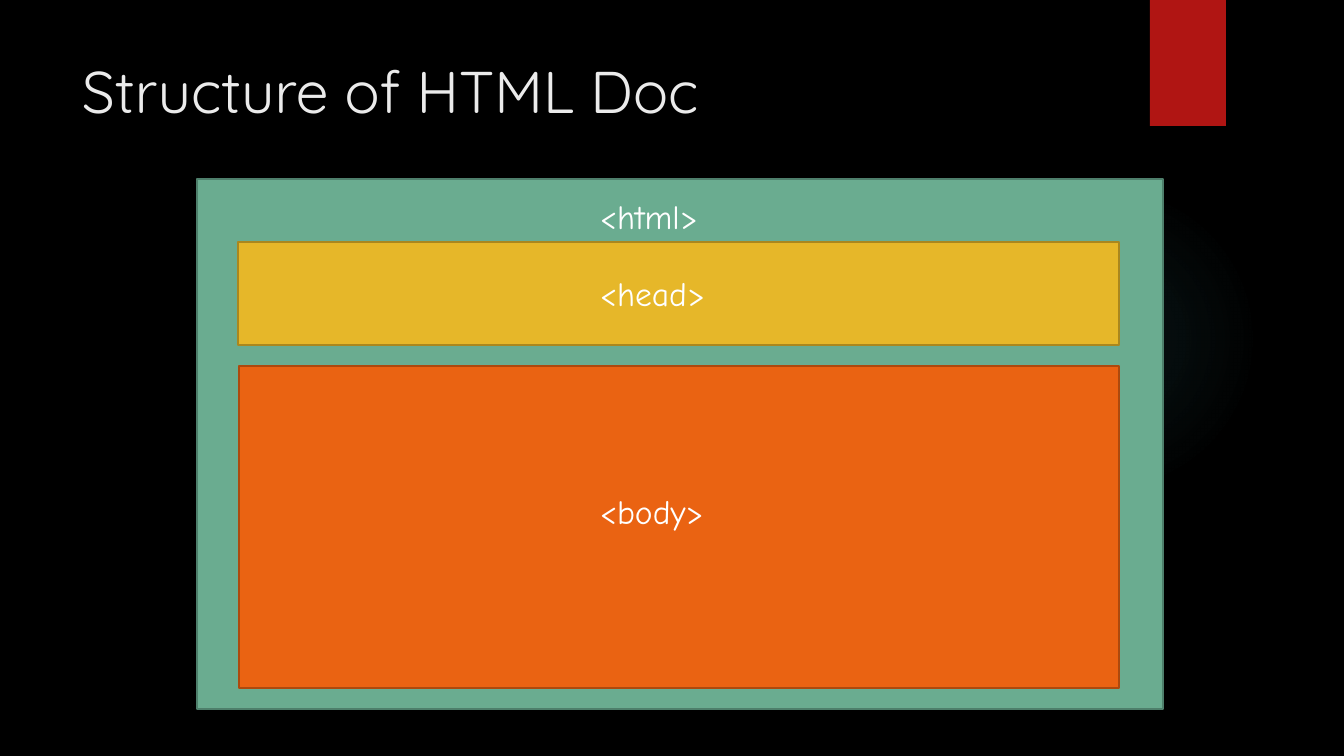
from lxml import etree
from pptx import Presentation, util as u
from pptx.dml.color import RGBColor
from pptx.enum import shapes, text
from pptx.oxml import ns

PX = 914400 / 100.8  # EMU in one px
BLACK = RGBColor(0x00, 0x00, 0x00)
WHITE = RGBColor(0xFF, 0xFF, 0xFF)
TITLE_GREY = RGBColor(0xEB, 0xEB, 0xEB)
RED = RGBColor(0xB0, 0x15, 0x13)
GREEN = RGBColor(0x6A, 0xAC, 0x90)
GREEN_EDGE = RGBColor(0x4E, 0x7F, 0x6B)
YELLOW = RGBColor(0xE6, 0xB7, 0x29)
YELLOW_EDGE = RGBColor(0xAA, 0x87, 0x1E)
ORANGE = RGBColor(0xEA, 0x63, 0x12)
ORANGE_EDGE = RGBColor(0xAD, 0x49, 0x0D)

prs = Presentation()
prs.slide_width, prs.slide_height = round(1344 * PX), round(756 * PX)
slide = prs.slides.add_slide(prs.slide_layouts[6])
slide.background.fill.solid()
slide.background.fill.fore_color.rgb = BLACK


def add_block(kind, box, fill, edge=None):
    block = slide.shapes.add_shape(kind, *(round(n * PX) for n in box))
    block.shadow.inherit = False
    block.fill.solid()
    block.fill.fore_color.rgb = fill
    if edge is None:
        block.line.fill.background()
    else:
        block.line.color.rgb = edge
        block.line.width = u.Pt(1.5)
    return block


def add_text(words, box, *, size, font, color):
    frame = slide.shapes.add_textbox(*(round(n * PX) for n in box)).text_frame
    frame.word_wrap = True
    frame.vertical_anchor = text.MSO_ANCHOR.TOP
    run = frame.paragraphs[0].add_run()
    run.text = words
    run.font.size = u.Pt(size)
    run.font.name = font
    run.font.color.rgb = color


# Faint round glow, fading outwards
glow = add_block(shapes.MSO_SHAPE.OVAL, (949, 184, 310, 310), BLACK)
stops = "".join(
    f'<a:gs pos="{pos}000"><a:srgbClr val="50B9C1"><a:alpha val="{alpha}000"/></a:srgbClr></a:gs>'
    for pos, alpha in ((0, 7), (36, 6), (69, 0)))
gradient = etree.fromstring(
    f'<a:gradFill {ns.nsdecls("a")} rotWithShape="1"><a:gsLst>{stops}</a:gsLst>'
    '<a:path path="circle"><a:fillToRect l="50000" t="50000" r="50000" b="50000"/></a:path>'
    '</a:gradFill>')
solid = glow.element.spPr.find(ns.qn("a:solidFill"))
solid.getparent().replace(solid, gradient)

# Red tab and title
add_block(shapes.MSO_SHAPE.RECTANGLE, (1150, 0, 76, 126), RED)
add_text("Structure of HTML Doc", (72, 50, 1037, 154),
         size=42, font="Quicksand", color=TITLE_GREY)

# Nested document parts, each with its tag
parts = [
    ("<html>", (197, 179, 966, 530), 191, GREEN, GREEN_EDGE),
    ("<head>", (238, 242, 881, 103), 268, YELLOW, YELLOW_EDGE),
    ("<body>", (239, 366, 880, 322), 486, ORANGE, ORANGE_EDGE),
]
for tag, box, tag_top, fill, edge in parts:
    add_block(shapes.MSO_SHAPE.RECTANGLE, box, fill, edge)
    add_text(tag, (590, tag_top, 162, 50), size=24, font="Comic Neue", color=WHITE)

prs.save("out.pptx")
